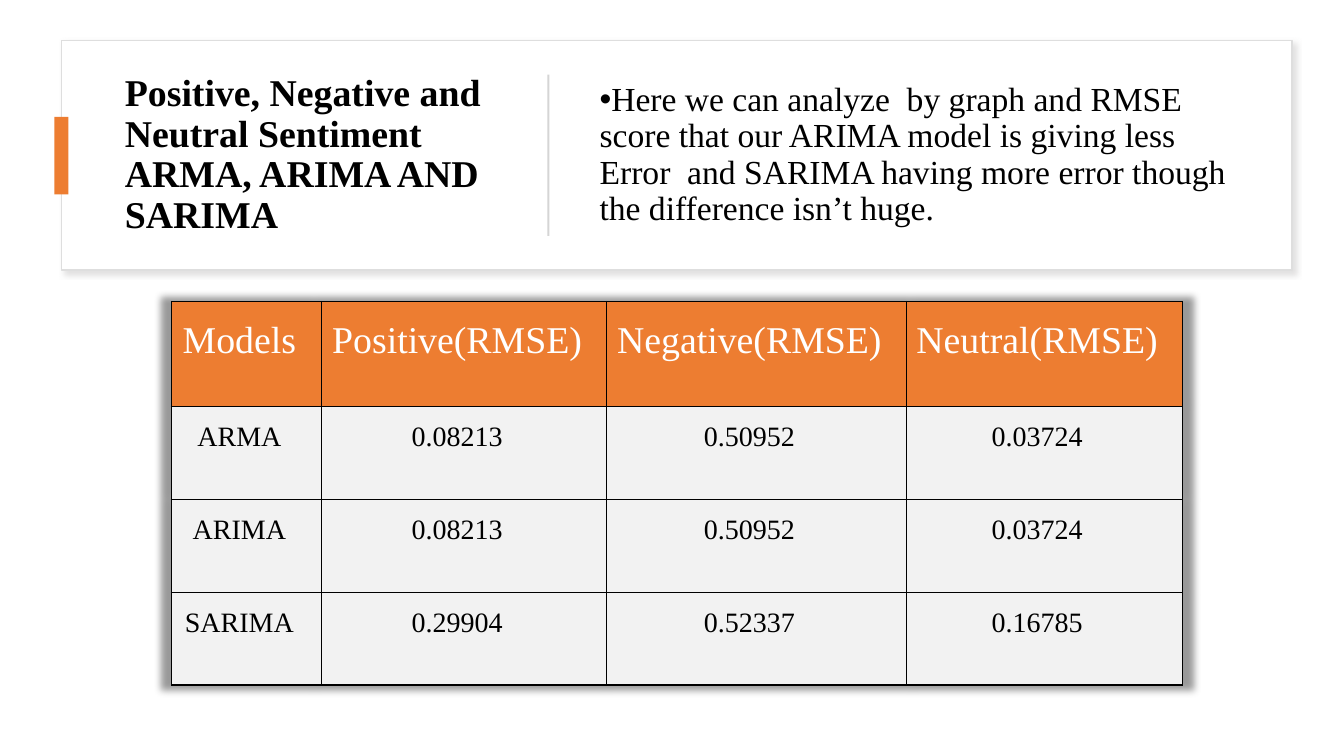
from dataclasses import dataclass

from pptx import Presentation
from pptx import util as u
from pptx.dml.color import RGBColor
from pptx.enum import shapes, text
from pptx.oxml import parse_xml
from pptx.oxml.ns import nsdecls, qn

Pt = u.Pt


@dataclass(frozen=True)
class Theme:
    font: str = "Times New Roman"
    ink: str = "000000"
    paper: str = "FFFFFF"
    accent: str = "ED7D31"
    cell: str = "F2F2F2"
    frame: str = "DEDEDE"
    divider: str = "D5D5D5"
    card_shadow: str = "C5C3C3"
    heading_size: float = 27
    body_size: float = 24
    value_size: float = 20


@dataclass(frozen=True)
class Box:
    left: float
    top: float
    width: float
    height: float

    def lengths(self) -> tuple:
        return Pt(self.left), Pt(self.top), Pt(self.width), Pt(self.height)


@dataclass(frozen=True)
class Panel:
    box: Box
    fill: str
    line: str | None = None


@dataclass(frozen=True)
class Passage:
    box: Box
    words: str
    size: float
    bold: bool = False
    bullet: bool = False


THEME = Theme()

CARD = Panel(Box(43.9, 28.8, 879.1, 164.2), THEME.paper, THEME.frame)
ACCENT_TAB = Panel(Box(38.9, 83.5, 10.1, 55.4), THEME.accent)
DIVIDER = Panel(Box(391, 53.3, 1.4, 115.2), THEME.divider)

PASSAGES = [
    Passage(Box(82.1, 46.1, 280.1, 129.6),
            "Positive, Negative and Neutral Sentiment ARMA, ARIMA AND SARIMA",
            THEME.heading_size, bold=True),
    Passage(Box(421.2, 46.1, 472.3, 129.6),
            "Here we can analyze  by graph and RMSE score that our ARIMA model is "
            "giving less Error  and SARIMA having more error though the difference "
            "isn’t huge.",
            THEME.body_size, bullet=True),
]

SCORES = [
    ["Models", "Positive(RMSE)", "Negative(RMSE)", "Neutral(RMSE)"],
    ["ARMA", "0.08213", "0.50952", "0.03724"],
    ["ARIMA", "0.08213", "0.50952", "0.03724"],
    ["SARIMA", "0.29904", "0.52337", "0.16785"],
]
SCORES_BOX = Box(122.4, 215.3, 722.2, 274.2)
COLUMN_WIDTHS = [107.3, 203.8, 213.8, 197.3]
ROW_HEIGHTS = [74.9, 66.4, 66.4, 66.4]


def shadow_xml(color: str, alpha: int, blur: float, extra: str):
    return parse_xml(
        f'<a:outerShdw {nsdecls("a")} blurRad="{Pt(blur)}" {extra} rotWithShape="0">'
        f'<a:srgbClr val="{color}"><a:alpha val="{alpha * 1000}"/></a:srgbClr>'
        '</a:outerShdw>')


def style_paragraph(paragraph, size: float, color: str, bold: bool = False) -> None:
    paragraph.font.name = THEME.font
    paragraph.font.size = Pt(size)
    paragraph.font.bold = bold
    paragraph.font.color.rgb = RGBColor.from_string(color)


def add_panel(slide, panel: Panel):
    shape = slide.shapes.add_shape(shapes.MSO_SHAPE.RECTANGLE, *panel.box.lengths())
    shape.shadow.inherit = False
    shape.fill.solid()
    shape.fill.fore_color.rgb = RGBColor.from_string(panel.fill)
    if panel.line:
        shape.line.color.rgb = RGBColor.from_string(panel.line)
        shape.line.width = Pt(1)
    else:
        shape.line.fill.background()
    return shape


def add_passage(slide, passage: Passage) -> None:
    frame = slide.shapes.add_textbox(*passage.box.lengths()).text_frame
    frame.word_wrap = True
    frame.vertical_anchor = text.MSO_ANCHOR.MIDDLE
    paragraph = frame.paragraphs[0]
    paragraph.text = passage.words
    paragraph.line_spacing = 0.9
    if passage.bullet:
        properties = paragraph._p.get_or_add_pPr()
        properties.set("marL", "0")
        properties.set("indent", str(-Pt(18)))
        properties.append(parse_xml(f'<a:buFont {nsdecls("a")} typeface="Arial"/>'))
        properties.append(parse_xml(f'<a:buChar {nsdecls("a")} char="•"/>'))
    style_paragraph(paragraph, passage.size, THEME.ink, passage.bold)


def add_borders(cell) -> None:
    properties = cell._tc.get_or_add_tcPr()
    for position, side in enumerate(("lnL", "lnR", "lnT", "lnB")):
        properties.insert(position, parse_xml(
            f'<a:{side} {nsdecls("a")} w="{Pt(1)}"><a:solidFill>'
            f'<a:srgbClr val="{THEME.ink}"/></a:solidFill></a:{side}>'))


def fill_cell(cell, words: str, is_header: bool) -> None:
    cell.margin_left, cell.margin_top = Pt(0), Pt(10.8)
    cell.margin_right, cell.margin_bottom = Pt(10.1), Pt(29.5)
    cell.vertical_anchor = text.MSO_ANCHOR.MIDDLE if is_header else text.MSO_ANCHOR.TOP
    cell.fill.solid()
    cell.fill.fore_color.rgb = RGBColor.from_string(
        THEME.accent if is_header else THEME.cell)
    cell.text = words
    paragraph = cell.text_frame.paragraphs[0]
    paragraph.alignment = text.PP_ALIGN.CENTER
    if is_header:
        style_paragraph(paragraph, THEME.heading_size, THEME.paper)
    else:
        style_paragraph(paragraph, THEME.value_size, THEME.ink)
    add_borders(cell)


def add_scores(slide) -> None:
    table = slide.shapes.add_table(
        len(SCORES), len(SCORES[0]), *SCORES_BOX.lengths()).table
    table.horz_banding = False
    for column, width in zip(table.columns, COLUMN_WIDTHS):
        column.width = Pt(width)
    for row, height, entries in zip(table.rows, ROW_HEIGHTS, SCORES):
        row.height = Pt(height)
        for cell, words in zip(row.cells, entries):
            fill_cell(cell, words, is_header=entries is SCORES[0])

    effects = parse_xml(f'<a:effectLst {nsdecls("a")}/>')
    effects.append(shadow_xml(THEME.ink, 40, 5, 'sx="102000" sy="102000" algn="ctr"'))
    table._tbl.tblPr.insert(0, effects)


def main() -> None:
    presentation = Presentation()
    presentation.slide_width, presentation.slide_height = Pt(960), Pt(540)
    slide = presentation.slides.add_slide(presentation.slide_layouts[6])

    card = add_panel(slide, CARD)
    card._element.spPr.find(qn("a:effectLst")).append(
        shadow_xml(THEME.card_shadow, 50, 4, f'dist="{Pt(3)}" dir="2700000" algn="tl"'))
    add_panel(slide, ACCENT_TAB)
    add_panel(slide, DIVIDER)
    for passage in PASSAGES:
        add_passage(slide, passage)
    add_scores(slide)
    presentation.save("out.pptx")


if __name__ == "__main__":
    main()
